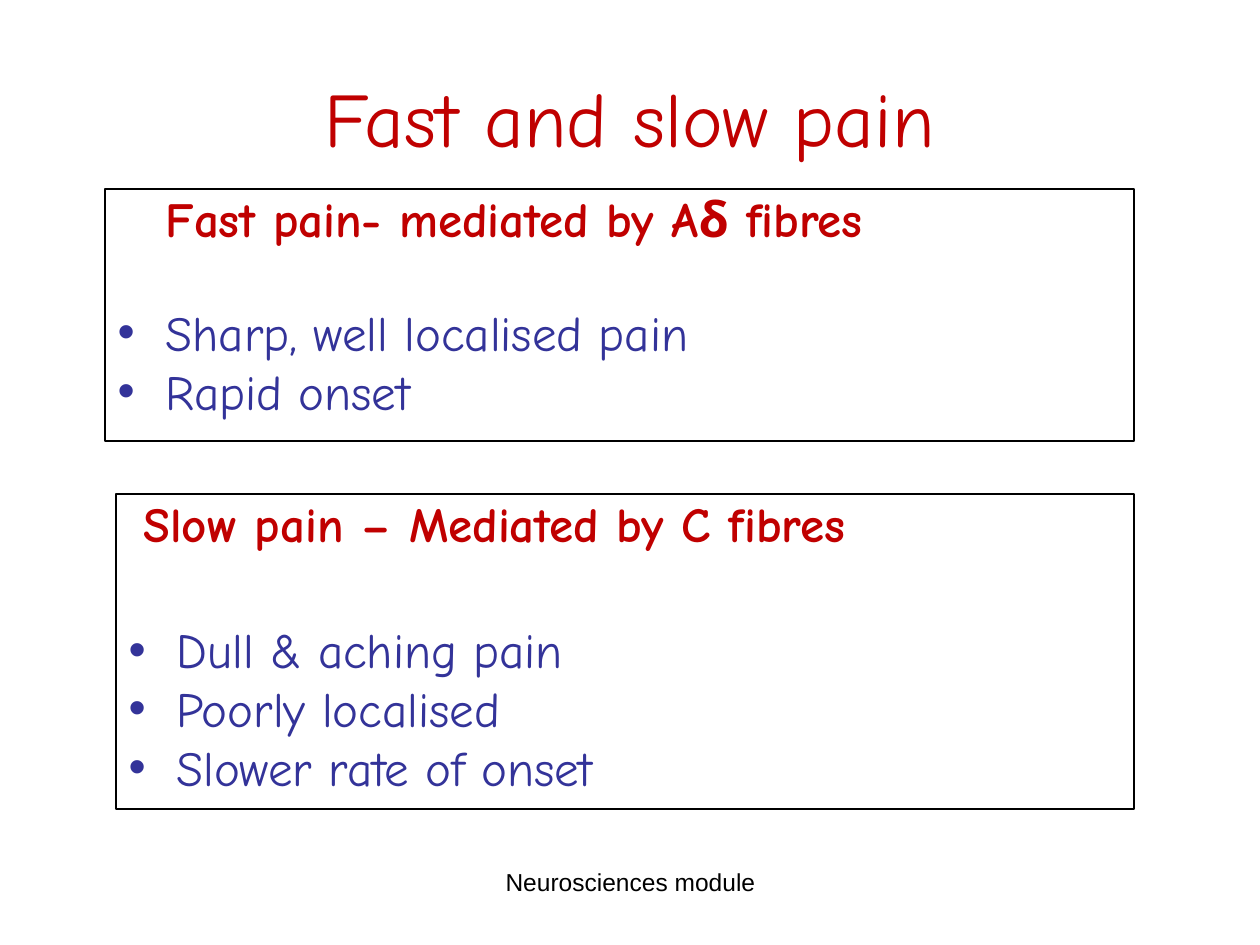
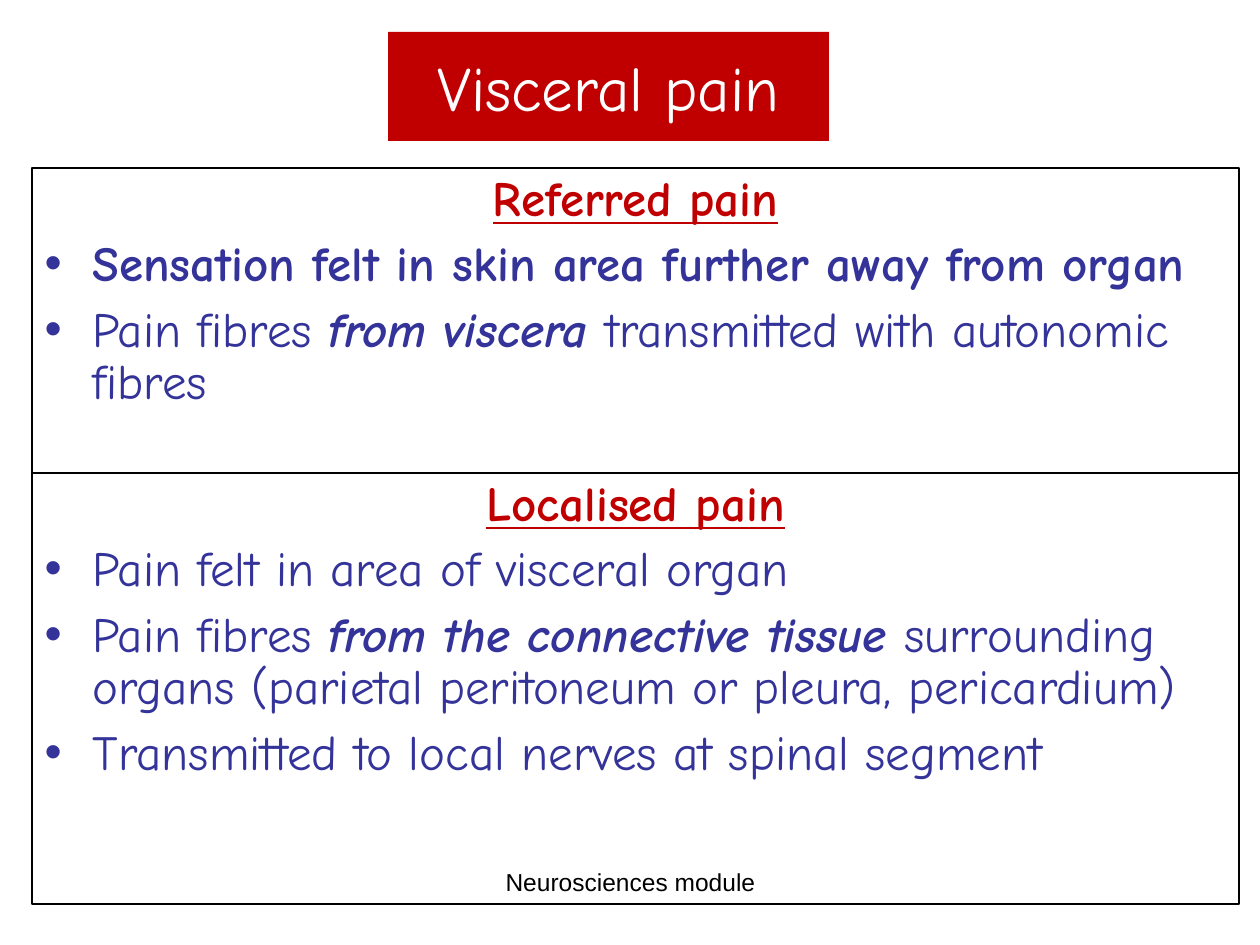
"""Build two lecture slides on fast, slow and visceral pain."""
from dataclasses import dataclass

from lxml.etree import SubElement
from pptx import Presentation
from pptx.dml.color import RGBColor
from pptx.enum.text import MSO_ANCHOR, MSO_AUTO_SIZE, PP_ALIGN
from pptx.oxml.ns import qn
from pptx.util import Emu, Pt


@dataclass(frozen=True)
class Theme:
    red: RGBColor = RGBColor(0xC0, 0x00, 0x00)
    blue: RGBColor = RGBColor(0x33, 0x33, 0x99)
    black: RGBColor = RGBColor(0x00, 0x00, 0x00)
    white: RGBColor = RGBColor(0xFF, 0xFF, 0xFF)
    hand_font: str = "Comic Neue"
    footer_font: str = "Arial"
    body_size: int = 28
    footer_size: int = 14
    border: float = 0.75


THEME = Theme()
SCALE = 914400 / 126
BULLET_INDENT = 48
FOOTER_PLACE = (431, 861, 399, 66)


def px(length):
    return Emu(round(length * SCALE))


def style(para, name, size, color, bold=False, underline=False):
    para.font.name = name
    para.font.size = Pt(size)
    para.font.color.rgb = color
    para.font.bold = bold
    para.font.underline = underline


PAGES = [
    {
        "title": "Fast and slow pain", "title_place": (63, 38, 1134, 158),
        "title_size": 44, "title_color": THEME.red, "title_fill": None,
        "heading_align": PP_ALIGN.LEFT, "underline": False,
        "bullet_spacing": 1.0, "bullet_gap": 0,
        "boxes": [
            {
                "place": (105, 189, 1029, 252), "heading_indent": 48, "heading_gap": 31,
                "heading": "Fast pain- mediated by Aδ fibres",
                "bullets": [[("Sharp, well localised pain", "")], [("Rapid onset", "")]],
            },
            {
                "place": (116, 494, 1018, 315), "heading_indent": 15, "heading_gap": 38,
                "heading": "Slow pain – Mediated by C fibres",
                "bullets": [
                    [("Dull & aching pain", "")],
                    [("Poorly localised", "")],
                    [("Slower rate of onset", "")],
                ],
            },
        ],
    },
    {
        "title": "Visceral pain", "title_place": (388, 32, 441, 109),
        "title_size": 36, "title_color": THEME.white, "title_fill": THEME.red,
        "heading_align": PP_ALIGN.CENTER, "underline": True,
        "bullet_spacing": 0.9, "bullet_gap": 7,
        "boxes": [
            {
                "place": (32, 168, 1207, 305), "heading_indent": 0, "heading_gap": 7,
                "heading": "Referred pain",
                "bullets": [
                    [("Sensation felt in skin area further away from organ", "b")],
                    [("Pain fibres ", ""), ("from viscera ", "bi"),
                     ("transmitted with autonomic fibres", "")],
                ],
            },
            {
                "place": (32, 473, 1207, 431), "heading_indent": 0, "heading_gap": 7,
                "heading": "Localised pain",
                "bullets": [
                    [("Pain felt in area of visceral organ", "")],
                    [("Pain fibres ", ""), ("from the connective tissue ", "bi"),
                     ("surrounding organs (parietal peritoneum or pleura, pericardium)", "")],
                    [("Transmitted to local nerves at spinal segment", "")],
                ],
            },
        ],
    },
]

deck = Presentation()
deck.slide_width, deck.slide_height = px(1260), px(945)

for page in PAGES:
    slide = deck.slides.add_slide(deck.slide_layouts[3])

    title = slide.shapes.title
    title.left, title.top, title.width, title.height = map(px, page["title_place"])
    if page["title_fill"] is not None:
        title.fill.solid()
        title.fill.fore_color.rgb = page["title_fill"]
    title.text_frame.text = page["title"]
    title.text_frame.auto_size = MSO_AUTO_SIZE.NONE
    title.text_frame.vertical_anchor = MSO_ANCHOR.MIDDLE
    title_para = title.text_frame.paragraphs[0]
    title_para.alignment = PP_ALIGN.CENTER
    style(title_para, THEME.hand_font, page["title_size"], page["title_color"])

    for number, content in enumerate(page["boxes"], start=1):
        box = slide.placeholders[number]
        box.left, box.top, box.width, box.height = map(px, content["place"])
        box.line.color.rgb = THEME.black
        box.line.width = Pt(THEME.border)
        frame = box.text_frame
        frame.auto_size = MSO_AUTO_SIZE.NONE
        frame.vertical_anchor = MSO_ANCHOR.TOP

        heading = frame.paragraphs[0]
        heading.text = content["heading"]
        heading.alignment = page["heading_align"]
        heading.line_spacing = 0.9
        heading.space_before = Pt(0)
        properties = heading._p.get_or_add_pPr()
        properties.set("marL", str(px(content["heading_indent"])))
        properties.set("indent", "0")
        SubElement(properties, qn("a:buNone"))
        style(heading, THEME.hand_font, THEME.body_size, THEME.red, True, page["underline"])

        for index, spans in enumerate(content["bullets"]):
            para = frame.add_paragraph()
            para.line_spacing = page["bullet_spacing"]
            para.space_before = Pt(page["bullet_gap"] if index else content["heading_gap"])
            properties = para._p.get_or_add_pPr()
            properties.set("marL", str(px(BULLET_INDENT)))
            properties.set("indent", str(-px(BULLET_INDENT)))
            bullet_color = SubElement(properties, qn("a:buClr"))
            SubElement(bullet_color, qn("a:srgbClr"), val=str(THEME.blue))
            SubElement(properties, qn("a:buFont"), typeface=THEME.footer_font)
            SubElement(properties, qn("a:buChar"), char="•")
            style(para, THEME.hand_font, THEME.body_size, THEME.blue)
            for text, emphasis in spans:
                span = para.add_run()
                span.text = text
                if emphasis:
                    span.font.bold = "b" in emphasis
                    span.font.italic = "i" in emphasis

    footer = slide.shapes.add_textbox(*map(px, FOOTER_PLACE))
    footer.text_frame.word_wrap = True
    footer_para = footer.text_frame.paragraphs[0]
    footer_para.text = "Neurosciences module"
    footer_para.alignment = PP_ALIGN.CENTER
    style(footer_para, THEME.footer_font, THEME.footer_size, THEME.black)

deck.save("out.pptx")
